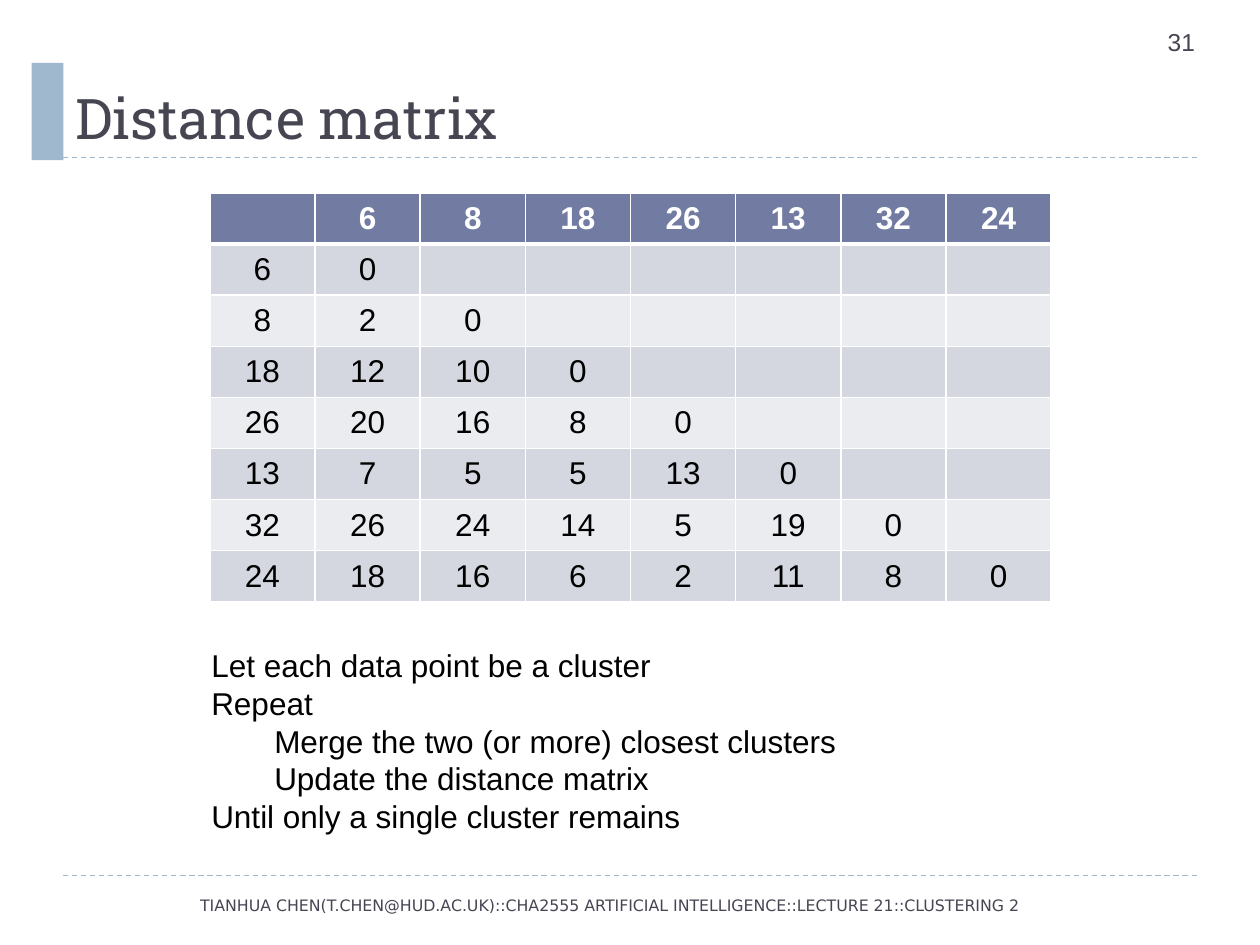
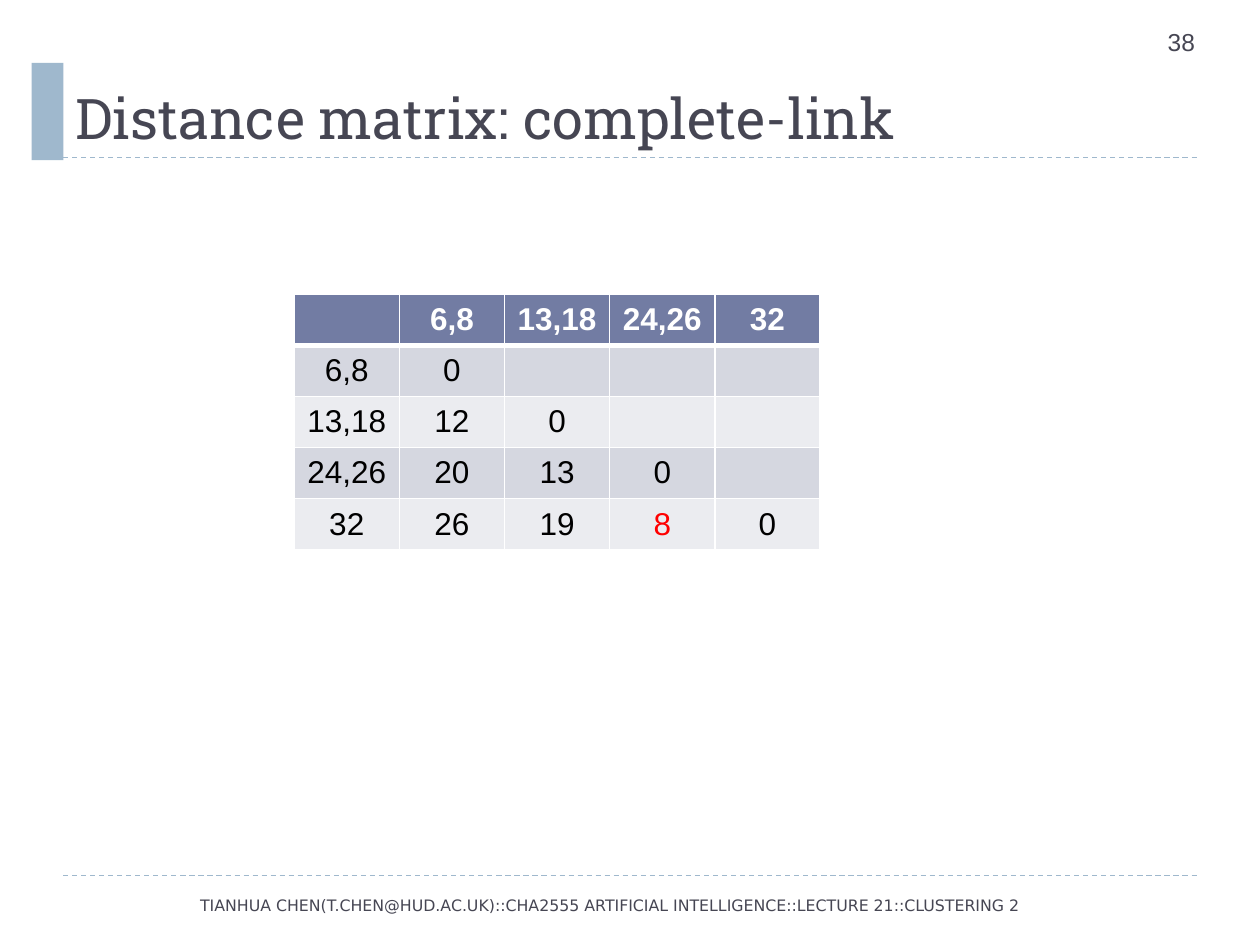
import pptx
import pptx.util
import pptx.dml.color
import pptx.enum.dml
import pptx.enum.shapes
import pptx.enum.text
import pptx.oxml
import pptx.oxml.ns

Cm, Pt = pptx.util.Cm, pptx.util.Pt
ALIGN = pptx.enum.text.PP_ALIGN
ANCHOR = pptx.enum.text.MSO_ANCHOR

COLORS = {"ink": "464653", "accent": "9FB8CD", "head": "727CA3", "odd": "D5D7E0",
          "even": "EBECF0", "white": "FFFFFF", "black": "000000", "red": "FF0000"}
FOOTER = ("TIANHUA CHEN(T.CHEN@HUD.AC.UK)::CHA2555 ARTIFICIAL INTELLIGENCE"
          "::LECTURE 21::CLUSTERING 2")
CELL_W, CELL_H = 2.12, 1.03
INDENT = 1.27

FORMATS = {
    "title": {"name": "Roboto Slab", "size": Pt(32), "color": "ink"},
    "number": {"name": "Arial", "size": Pt(14), "color": "ink"},
    "footer": {"name": "DejaVu Sans", "size": Pt(9), "color": "ink"},
    "body": {"name": "Arial", "size": Pt(18), "color": "black"},
}
FORMATS["head"] = {**FORMATS["body"], "bold": True, "color": "white"}
FORMATS["closest"] = {**FORMATS["body"], "color": "red"}


def rgb(name):
    return pptx.dml.color.RGBColor.from_string(COLORS[name])


class Deck:
    def __init__(self):
        self.prs = pptx.Presentation()
        self.prs.slide_width, self.prs.slide_height = Cm(25.4), Cm(19.05)
        self.s = None

    def run(self, p, text, style):
        r = p.add_run()
        r.text = text
        for key, value in FORMATS[style].items():
            if key == "color":
                r.font.color.rgb = rgb(value)
            else:
                setattr(r.font, key, value)

    def text(self, box, lines, style, anchor=ANCHOR.TOP, align=ALIGN.LEFT, spacing=None):
        """Write (indent level, text) lines in one text box."""
        tf = self.s.shapes.add_textbox(*map(Cm, box)).text_frame
        tf.word_wrap = True
        tf.vertical_anchor = anchor
        for i, (level, line) in enumerate(lines):
            p = tf.add_paragraph() if i else tf.paragraphs[0]
            p.alignment, p.line_spacing = align, spacing
            if level:
                p.level = level
                pPr = p._p.get_or_add_pPr()
                pPr.set("marL", str(Cm(INDENT * level)))
                pPr.set("indent", "0")
            self.run(p, line, style)

    def rule(self, y):
        c = self.s.shapes.add_connector(pptx.enum.shapes.MSO_CONNECTOR.STRAIGHT,
                                        Cm(1.27), Cm(y), Cm(24.13), Cm(y))
        c.line.color.rgb = rgb("accent")
        c.line.width = Pt(0.75)
        c.line.dash_style = pptx.enum.dml.MSO_LINE.DASH
        c._element.spPr.append(pptx.oxml.parse_xml(
            f'<a:effectLst {pptx.oxml.ns.nsdecls("a")}/>'))

    def bar(self, box, color):
        sp = self.s.shapes.add_shape(pptx.enum.shapes.MSO_SHAPE.RECTANGLE, *map(Cm, box))
        sp.shadow.inherit = False
        sp.fill.solid()
        sp.fill.fore_color.rgb = rgb(color)
        sp.line.fill.background()

    def slide(self, number, title):
        """Start a slide with its rules, bar, number, title and footer."""
        self.s = self.prs.slides.add_slide(self.prs.slide_layouts[6])
        for y in (17.65, 3.18):
            self.rule(y)
        self.bar((0.64, 1.27, 0.64, 1.96), "accent")
        self.text((23.29, 0.43, 1.6, 1.02), [(0, str(number))], "number")
        self.text((1.27, 0.43, 22.86, 2.74), [(0, title)], "title", ANCHOR.BOTTOM)
        self.text((0.51, 17.68, 23.55, 1.12), [(0, FOOTER)], "footer",
                  ANCHOR.MIDDLE, ALIGN.CENTER)

    def border(self, cell, **widths):
        tcPr = cell._tc.get_or_add_tcPr()
        for side in "LRTB":
            width = Pt(widths.get(side, 1))
            tcPr.append(pptx.oxml.parse_xml(
                f'<a:ln{side} {pptx.oxml.ns.nsdecls("a")} w="{width}"><a:solidFill>'
                f'<a:srgbClr val="{COLORS["white"]}"/></a:solidFill></a:ln{side}>'))

    def matrix(self, left, top, labels, distances, closest=None):
        """Draw a lower triangular distance matrix; closest is a (row, column) to mark."""
        n = len(labels) + 1
        rows = [["", *labels]] + [[a, *d] for a, d in zip(labels, distances)]
        table = self.s.shapes.add_table(n, n, Cm(left), Cm(top),
                                        Cm(CELL_W * n), Cm(CELL_H * n)).table
        for i in range(n):
            table.columns[i].width, table.rows[i].height = Cm(CELL_W), Cm(CELL_H)
            fill = "head" if i == 0 else "odd" if i % 2 else "even"
            for j in range(n):
                cell = table.cell(i, j)
                self.border(cell, B=3 if i == 0 else 1, T=3 if i == 1 else 1)
                cell.fill.solid()
                cell.fill.fore_color.rgb = rgb(fill)
                cell.vertical_anchor = ANCHOR.MIDDLE
                p = cell.text_frame.paragraphs[0]
                p.alignment = ALIGN.CENTER
                if j < len(rows[i]) and rows[i][j] != "":
                    style = "head" if i == 0 else "closest" if (i, j) == closest else "body"
                    self.run(p, str(rows[i][j]), style)


def main():
    deck = Deck()

    # Distances between single points, with the algorithm
    deck.slide(31, "Distance matrix")
    deck.matrix(4.23, 3.89, [6, 8, 18, 26, 13, 32, 24], [
        [0],
        [2, 0],
        [12, 10, 0],
        [20, 16, 8, 0],
        [7, 5, 5, 13, 0],
        [26, 24, 14, 5, 19, 0],
        [18, 16, 6, 2, 11, 8, 0],
    ])
    deck.text((2.74, 12.9, 14.81, 4.11), [
        (1, "Let each data point be a cluster"),
        (1, "Repeat"),
        (2, "Merge the two (or more) closest clusters"),
        (2, "Update the distance matrix"),
        (1, "Until only a single cluster remains"),
    ], "body", spacing=Pt(21.6))

    # Distances between merged clusters
    deck.slide(38, "Distance matrix: complete-link")
    deck.matrix(5.93, 5.93, ["6,8", "13,18", "24,26", "32"], [
        [0],
        [12, 0],
        [20, 13, 0],
        [26, 19, 8, 0],
    ], closest=(4, 3))

    deck.prs.save("out.pptx")


if __name__ == "__main__":
    main()
